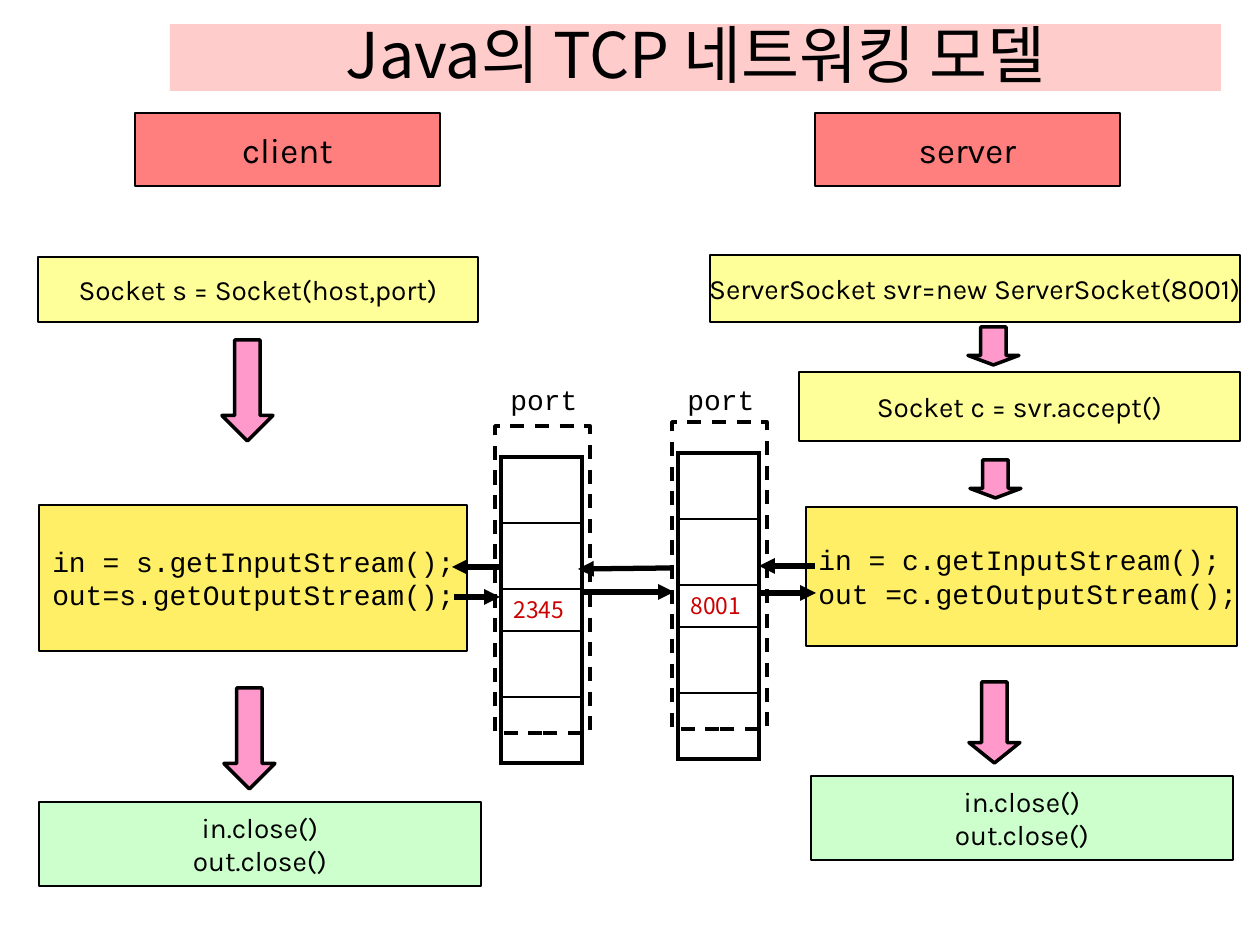
from typing import NamedTuple, Optional

from lxml import etree
from pptx import Presentation
from pptx.dml.color import RGBColor
from pptx.enum import dml, shapes, text
from pptx.oxml import ns
from pptx.util import Pt

PX = 914400 // 126
BLACK = RGBColor(0x00, 0x00, 0x00)
RED = RGBColor(0xFF, 0x00, 0x00)
PORT_RED = RGBColor(0xCC, 0x00, 0x00)
TITLE_PINK = RGBColor(0xFF, 0xCC, 0xCC)
ARROW_PINK = RGBColor(0xFF, 0x99, 0xCC)
YELLOW = RGBColor(0xFF, 0xFF, 0x99)
GOLD = RGBColor(0xFF, 0xEF, 0x66)
GREEN = RGBColor(0xCC, 0xFF, 0xCC)
SANS, MONO, KOREAN = "Karla", "Courier New", "Noto Sans CJK KR"
LEFT, CENTER, RIGHT = text.PP_ALIGN.LEFT, text.PP_ALIGN.CENTER, text.PP_ALIGN.RIGHT
ROW_HEIGHTS = (66, 66, 42, 66, 66)


class Box(NamedTuple):
    x: int
    y: int
    w: int
    h: int
    label: str
    fill: RGBColor
    font: str = SANS
    size: int = 16
    align: text.PP_ALIGN = CENTER
    alpha: Optional[int] = None


class StepArrow(NamedTuple):
    x: int
    y: int
    h: int
    head: float


class PortStack(NamedTuple):
    x: int
    y: int
    number: str


class Flow(NamedTuple):
    x1: int
    y1: int
    x2: int
    y2: int


BOXES = [
    Box(815, 113, 305, 73, "server", RED, size=20, alpha=50),
    Box(710, 255, 530, 67, "ServerSocket svr=new ServerSocket(8001)", YELLOW),
    Box(135, 113, 305, 73, "client", RED, size=20, alpha=50),
    Box(38, 257, 440, 65, "Socket s = Socket(host,port)", YELLOW),
    Box(39, 505, 428, 146, "in = s.getInputStream();\nout=s.getOutputStream();",
        GOLD, MONO, align=RIGHT),
    Box(39, 802, 442, 84, "in.close()\nout.close()", GREEN),
    Box(799, 372, 441, 69, "Socket c = svr.accept()", YELLOW),
    Box(806, 507, 431, 139, "in = c.getInputStream();\nout =c.getOutputStream();",
        GOLD, MONO, align=LEFT),
    Box(811, 776, 422, 84, "in.close()\nout.close()", GREEN),
]
STEP_ARROWS = [
    StepArrow(222, 340, 101, 0.5),
    StepArrow(224, 688, 101, 0.5),
    StepArrow(968, 327, 38, 0.25),
    StepArrow(970, 460, 38, 0.25),
    StepArrow(969, 682, 81, 0.4),
]
PORT_STACKS = [PortStack(495, 426, "2345"), PortStack(672, 422, "8001")]
FLOWS = [
    Flow(503, 567, 452, 567),
    Flow(672, 568, 578, 569),
    Flow(815, 566, 759, 566),
    Flow(454, 597, 500, 597),
    Flow(583, 592, 674, 592),
    Flow(757, 593, 816, 593),
]


def emu(*lengths: int) -> list[int]:
    return [n * PX for n in lengths]


def style_text(tf, font: str, size: int, color: RGBColor, align) -> None:
    for p in tf.paragraphs:
        p.alignment = align
        for r in p.runs:
            r.font.name, r.font.size, r.font.color.rgb = font, Pt(size), color
            etree.SubElement(r.font._element, ns.qn("a:ea"), typeface=font)


def add_outlined(slide, kind, frame, fill, width: float):
    """Add a preset shape; a fill or line width of None leaves that part out."""
    sp = slide.shapes.add_shape(kind, *emu(*frame))
    sp.shadow.inherit = False
    if fill is None:
        sp.fill.background()
    else:
        sp.fill.solid()
        sp.fill.fore_color.rgb = fill
    if width is None:
        sp.line.fill.background()
    else:
        sp.line.color.rgb = BLACK
        sp.line.width = Pt(width)
    return sp


def add_title(slide) -> None:
    sp = add_outlined(slide, shapes.MSO_SHAPE.RECTANGLE, (170, 24, 1051, 67),
                      TITLE_PINK, None)
    tf = sp.text_frame
    tf.text = "Java의 TCP 네트워킹 모델"
    tf.word_wrap = True
    tf.vertical_anchor = text.MSO_ANCHOR.BOTTOM
    tf.margin_top = tf.margin_bottom = 0
    style_text(tf, KOREAN, 36, BLACK, CENTER)


def add_box(slide, box: Box) -> None:
    sp = add_outlined(slide, shapes.MSO_SHAPE.RECTANGLE, box[:4], box.fill, 0.75)
    if box.alpha is not None:
        color = sp.fill._xPr.find(".//" + ns.qn("a:srgbClr"))
        etree.SubElement(color, ns.qn("a:alpha"), val=str(box.alpha * 1000))
    tf = sp.text_frame
    tf.text = box.label
    tf.word_wrap = False
    tf.vertical_anchor = text.MSO_ANCHOR.MIDDLE
    style_text(tf, box.font, box.size, BLACK, box.align)


def add_step_arrow(slide, arrow: StepArrow) -> None:
    sp = add_outlined(slide, shapes.MSO_SHAPE.DOWN_ARROW,
                      (arrow.x, arrow.y, 51, arrow.h), ARROW_PINK, 2)
    sp.adjustments[0] = 0.5
    # The head is stored relative to the shorter side.
    sp.adjustments[1] = arrow.head


def set_border(cell, side: str, width: float) -> None:
    tc_pr = cell._tc.get_or_add_tcPr()
    ln = etree.SubElement(tc_pr, ns.qn("a:ln" + side), w=str(Pt(width)))
    fill = etree.SubElement(ln, ns.qn("a:solidFill"))
    etree.SubElement(fill, ns.qn("a:srgbClr"), val=str(BLACK))


def add_port_stack(slide, stack: PortStack) -> None:
    frame = add_outlined(slide, shapes.MSO_SHAPE.RECTANGLE,
                         (stack.x, stack.y, 95, 307), None, 2)
    frame.line.dash_style = dml.MSO_LINE.DASH
    table = slide.shapes.add_table(
        len(ROW_HEIGHTS), 1,
        *emu(stack.x + 6, stack.y + 31, 81, sum(ROW_HEIGHTS))).table
    table.first_row = table.horz_banding = False
    last = len(ROW_HEIGHTS) - 1
    for i, height in enumerate(ROW_HEIGHTS):
        table.rows[i].height = height * PX
        cell = table.cell(i, 0)
        widths = {"L": 2.25, "R": 2.25, "T": 2.25 if i == 0 else 1,
                  "B": 2.25 if i == last else 1}
        for side, width in widths.items():
            set_border(cell, side, width)
        cell.fill.background()
    number = table.cell(last // 2, 0).text_frame
    number.text = stack.number
    number.paragraphs[0].line_spacing = 0.9
    style_text(number, KOREAN, 13, PORT_RED, LEFT)


def add_port_label(slide, stack: PortStack) -> None:
    tf = slide.shapes.add_textbox(*emu(stack.x + 3, 376, 93, 46)).text_frame
    tf.text = "port"
    tf.word_wrap = False
    style_text(tf, MONO, 16, BLACK, LEFT)


def add_flow(slide, flow: Flow) -> None:
    line = slide.shapes.add_connector(shapes.MSO_CONNECTOR.STRAIGHT, *emu(*flow))
    line.line.color.rgb = BLACK
    line.line.width = Pt(3)
    etree.SubElement(line.line._get_or_add_ln(), ns.qn("a:tailEnd"), type="triangle")
    etree.SubElement(line._element.spPr, ns.qn("a:effectLst"))


def main() -> None:
    prs = Presentation()
    prs.slide_width, prs.slide_height = emu(1260, 945)
    slide = prs.slides.add_slide(prs.slide_layouts[6])
    add_title(slide)
    for draw, items in ((add_box, BOXES), (add_step_arrow, STEP_ARROWS),
                        (add_port_stack, PORT_STACKS), (add_flow, FLOWS),
                        (add_port_label, PORT_STACKS)):
        for item in items:
            draw(slide, item)
    prs.save("out.pptx")


if __name__ == "__main__":
    main()
